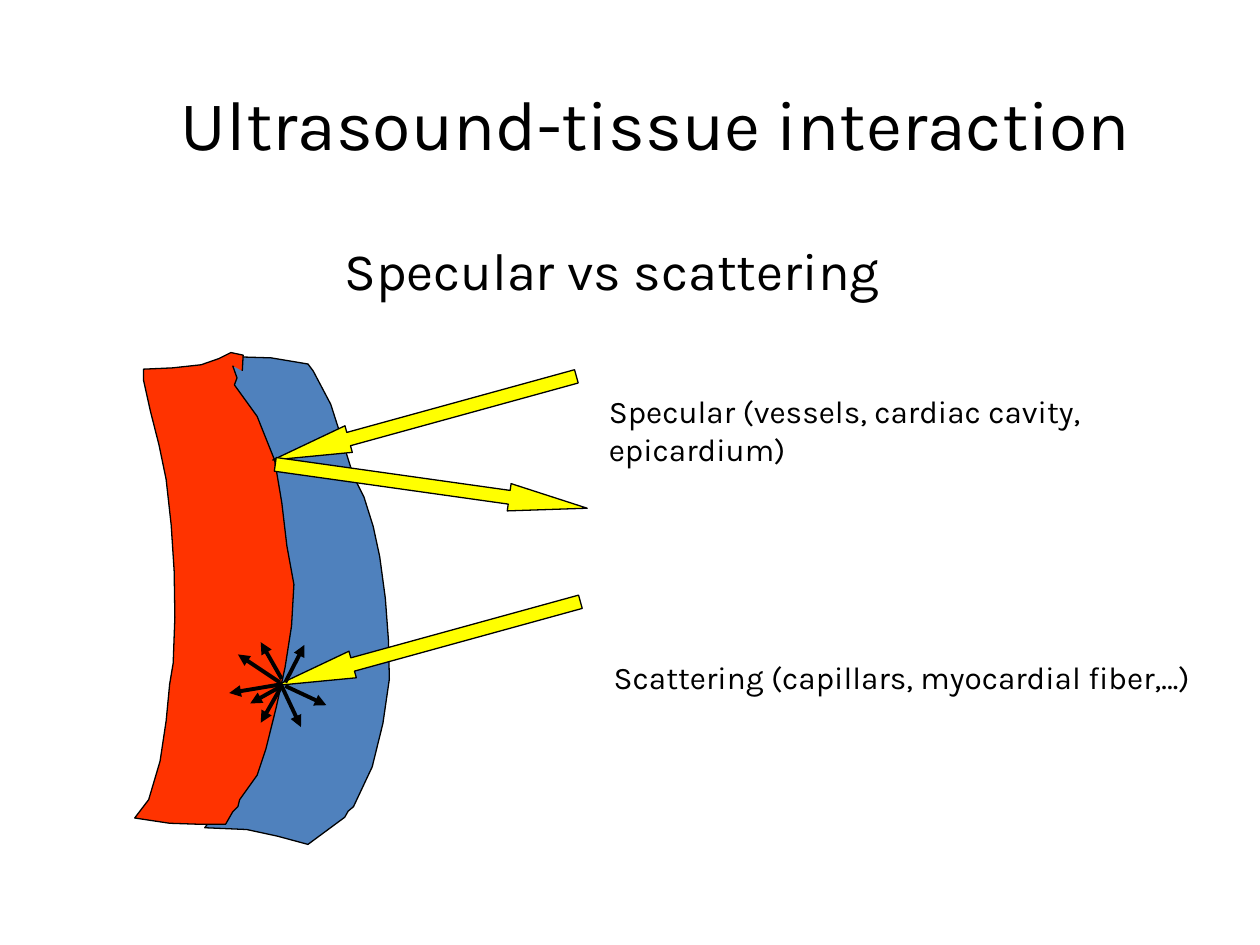
from dataclasses import dataclass
from math import dist

from lxml import etree
from pptx import Presentation
from pptx.dml.color import RGBColor
from pptx.enum.shapes import MSO_CONNECTOR, MSO_SHAPE
from pptx.enum.text import MSO_ANCHOR, MSO_AUTO_SIZE, PP_ALIGN
from pptx.oxml.ns import qn
from pptx.util import Pt

LEFT, CENTER = PP_ALIGN.LEFT, PP_ALIGN.CENTER
TOP, BOTTOM = MSO_ANCHOR.TOP, MSO_ANCHOR.BOTTOM
NO_FIT = MSO_AUTO_SIZE.NONE
BEAM = MSO_SHAPE.LEFT_ARROW
STRAIGHT = MSO_CONNECTOR.STRAIGHT


@dataclass(frozen=True)
class Theme:
    font: str = "Karla"
    ink: str = "000000"
    blue: str = "4F81BD"
    red: str = "FF3300"
    yellow: str = "FFFF00"
    title: int = 40
    sub: int = 30
    label: int = 18
    thin: float = 0.75
    thick: float = 2.25


# Tissue outlines, in points
OUTER = [(128, 215), (142, 240), (153, 276), (157, 321), (145, 421),
         (136, 446), (117, 473), (141, 474), (176, 482.5), (197, 467),
         (199, 463.5), (202, 461), (222.5, 388), (222, 366), (217, 318),
         (208, 284), (202, 272), (189, 231), (179, 212), (176, 208),
         (155, 204.5), (139, 204)]
INNER = [(133, 209), (135.5, 216), (134, 220), (147, 238), (157, 263),
         (164, 312), (168, 334), (152, 428), (147, 443), (137, 457),
         (136, 461), (133, 464), (129, 471), (97, 470.5), (77, 467.5),
         (85, 457), (95, 412), (97, 391), (99, 379), (95, 274), (86, 235),
         (82, 217), (82, 211), (115, 208.5), (125, 205), (132, 201.5),
         (139, 203), (138.5, 212)]

# Left, top and turn of each beam
BEAMS = [(152.6, 231.1, 344.6), (156.4, 270, 188), (154.9, 359.9, 344.6)]

# Start and tip of each scattered ray
RAYS = [((160, 390), (136, 374)), ((161, 391), (131, 396)),
        ((161, 392), (143, 402)), ((161, 392), (149, 413)),
        ((160, 390), (172, 415.5)), ((163, 392), (186.5, 403)),
        ((163, 390), (174, 368.5)), ((161, 388), (149, 367))]


def color(code):
    return RGBColor.from_string(code)


def unit(a, b):
    size = dist(a, b)
    return (b[0] - a[0]) / size, (b[1] - a[1]) / size


def smooth(pts, reach=30):
    """Bow the long edges of an outline and keep its sharp corners."""
    def slope(i, chord):
        if i in (0, len(pts) - 1):
            return chord
        a, b = unit(pts[i - 1], pts[i]), unit(pts[i], pts[i + 1])
        gentle = a[0] * b[0] + a[1] * b[1] > 0.7
        return unit((0, 0), (a[0] + b[0], a[1] + b[1])) if gentle else chord

    out = [pts[0]]
    for i, (p, q) in enumerate(zip(pts, pts[1:])):
        chord, size = unit(p, q), dist(p, q)
        u, v = slope(i, chord), slope(i + 1, chord)
        steps = 1 + min(3, int(size / reach))
        for k in range(1, steps + 1):
            t = k / steps
            rise = t * t * (3 - 2 * t)
            lead, tail = t * (1 - t) ** 2 * size, t * t * (t - 1) * size
            out.append(tuple(p[n] + rise * (q[n] - p[n]) + lead * u[n]
                             + tail * v[n] for n in (0, 1)))
    return out


def write(shape, text, *, theme, size, align=LEFT, anchor=TOP):
    frame = shape.text_frame
    frame.text = text
    frame.word_wrap = True
    frame.auto_size = NO_FIT
    frame.vertical_anchor = anchor
    para = frame.paragraphs[0]
    props = para._p.get_or_add_pPr()
    props.set("marL", "0")
    props.set("indent", "0")
    etree.SubElement(props, qn("a:buNone"))
    para.alignment = align
    para.space_before = Pt(0)
    font = para.runs[0].font
    font.name, font.size = theme.font, Pt(size)
    font.color.rgb = color(theme.ink)


class Page:
    def __init__(self, slide, theme):
        self.slide, self.theme = slide, theme
        self.shapes = slide.shapes

    def holder(self, idx, text, box, **style):
        shape = self.slide.placeholders[idx]
        shape.left, shape.top, shape.width, shape.height = map(Pt, box)
        write(shape, text, theme=self.theme, **style)

    def label(self, text, box):
        shape = self.shapes.add_textbox(*map(Pt, box))
        write(shape, text, theme=self.theme, size=self.theme.label)

    def paint(self, shape, fill):
        shape.shadow.inherit = False
        shape.fill.solid()
        shape.fill.fore_color.rgb = color(fill)
        shape.line.color.rgb = color(self.theme.ink)
        shape.line.width = Pt(self.theme.thin)

    def tissue(self, pts, fill, close):
        first, *rest = [(Pt(x), Pt(y)) for x, y in smooth(pts)]
        pen = self.shapes.build_freeform(*first)
        pen.add_line_segments(rest, close=close)
        self.paint(pen.convert_to_shape(), fill)

    def beam(self, left, top, turn):
        box = left, top, 180, 15.75
        shape = self.shapes.add_shape(BEAM, *map(Pt, box))
        shape.adjustments[0], shape.adjustments[1] = 0.5, 2.857
        shape.rotation = turn
        self.paint(shape, self.theme.yellow)

    def burst(self, rays):
        group = self.shapes.add_group_shape()
        for start, tip in rays:
            ray = group.shapes.add_connector(STRAIGHT, *map(Pt, start + tip))
            ray.line.color.rgb = color(self.theme.ink)
            ray.line.width = Pt(self.theme.thick)
            etree.SubElement(ray.line._get_or_add_ln(), qn("a:tailEnd"),
                             type="triangle")
            etree.SubElement(ray._element.spPr, qn("a:effectLst"))


def main():
    deck = Presentation()
    deck.slide_width, deck.slide_height = Pt(720), Pt(540)
    theme = Theme()
    page = Page(deck.slides.add_slide(deck.slide_layouts[1]), theme)

    # Headings
    page.holder(0, "Ultrasound-tissue interaction", (48.3, 37.5, 652.3, 60),
                size=theme.title, align=CENTER, anchor=BOTTOM)
    page.holder(1, "Specular vs scattering", (70.8, 132.5, 558, 43.2),
                size=theme.sub, align=CENTER)

    # Tissue layers
    page.tissue(OUTER, theme.blue, True)
    page.tissue(INNER, theme.red, False)

    # Beams and scattered rays
    for beam in BEAMS:
        page.beam(*beam)
    page.burst(RAYS)

    # Labels
    page.label("Specular (vessels, cardiac cavity, epicardium)",
               (340.8, 220.7, 347.8, 50.4))
    page.label("Scattering (capillars, myocardial fiber,…)",
               (343.6, 372.7, 350, 29))

    deck.save("out.pptx")


if __name__ == "__main__":
    main()
